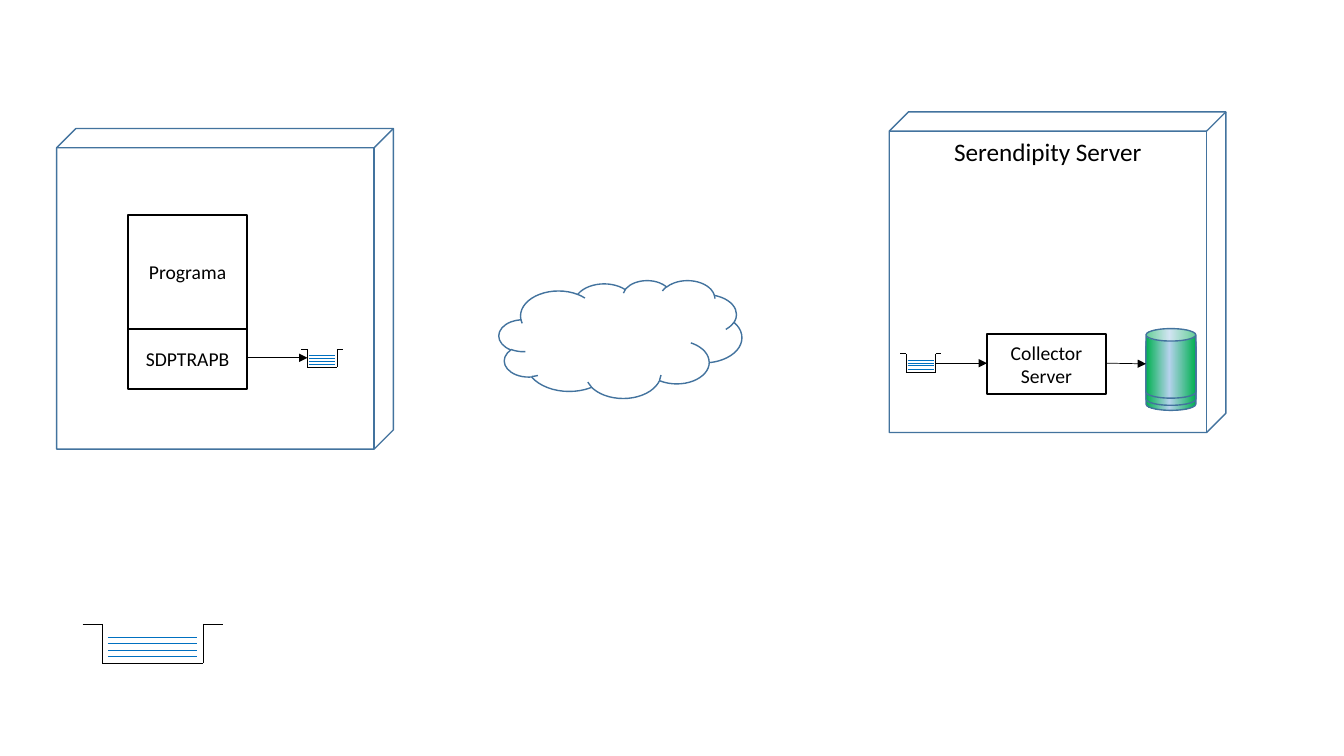
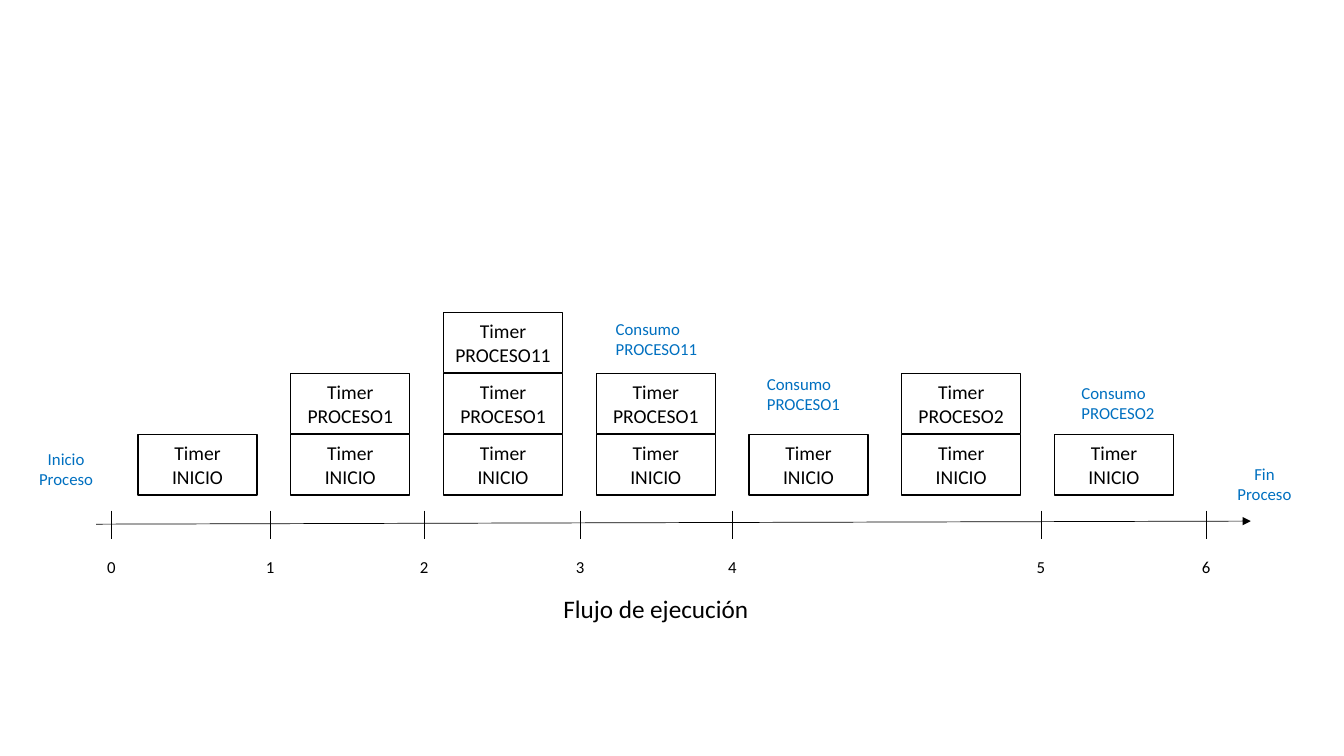
from copy import deepcopy
from pptx import Presentation
from pptx.dml.color import RGBColor
from pptx.enum.shapes import MSO_CONNECTOR as Link, MSO_SHAPE as Preset
from pptx.enum.text import MSO_ANCHOR as Anchor, MSO_AUTO_SIZE as AutoSize, PP_ALIGN as Align
from pptx.oxml.ns import qn
from pptx.oxml.xmlchemy import OxmlElement
from pptx.util import Pt

FONT = "Calibri"
BLACK = RGBColor(0x00, 0x00, 0x00)
WHITE = RGBColor(0xFF, 0xFF, 0xFF)
BLUE = RGBColor(0x00, 0x70, 0xC0)
OUTLINE = RGBColor(0x43, 0x73, 0x9E)
GREEN = RGBColor(0x00, 0xB0, 0x50)
PALE = RGBColor(0xB5, 0xD2, 0xEC)

BOX_WIDTH, BOX_HEIGHT = 85, 43
MACHINE_WIDTH, MACHINE_HEIGHT = 240.5, 229

PROGRAM_BOXES = [
    ("Programa", 91.5, 153.5, 81.5),
    ("SDPTRAPB", 91.5, 235, BOX_HEIGHT),
    ("Collector Server", 705, 238.5, BOX_HEIGHT),
]
QUEUES = [(59, 445.7, 100, 28), (215.3, 249.4, 29.5, 13), (643, 252.7, 29.5, 13)]
CAN_TOPS = [243.4, 239.8, 234.7]
ARROWS = [
    (176.5, 255.6, 219.6, 255.6),
    (668.2, 259.4, 705, 259.4),
    (790, 259.4, 818.6, 259.9),
]

STACKS = [
    ["INICIO"],
    ["INICIO", "PROCESO1"],
    ["INICIO", "PROCESO1", "PROCESO11"],
    ["INICIO", "PROCESO1"],
    ["INICIO"],
    ["INICIO", "PROCESO2"],
    ["INICIO"],
]
STACK_LEFT, STACK_STEP = 98.6, 109.1
STACK_TOP, LEVEL_STEP = 310.5, 43.7
TICKS = [79.9, 193.2, 303.3, 414.7, 523.4, 743.8, 861.8]
NOTES = [
    ("Consumo\nPROCESO11", 432.7, 223.9, 73.4, Align.LEFT),
    ("Consumo\nPROCESO1", 540.7, 263.5, 67.7, Align.LEFT),
    ("Consumo\nPROCESO2", 765.4, 270, 67.7, Align.LEFT),
    ("Fin\nProceso", 876.2, 327.6, 54, Align.CENTER),
    ("Inicio\nProceso", 20.2, 316.8, 54, Align.CENTER),
]


def write(frame, text, size, color, align):
    frame.text = text
    for para in frame.paragraphs:
        para.alignment = align
        for span in para.runs:
            span.font.name = FONT
            span.font.size = Pt(size)
            span.font.color.rgb = color


def add_outline(page, preset, left, top, width, height, color=OUTLINE):
    shape = page.shapes.add_shape(preset, Pt(left), Pt(top), Pt(width), Pt(height))
    shape.shadow.inherit = False
    shape.fill.background()
    shape.line.color.rgb = color
    shape.line.width = Pt(1)
    return shape


def add_box(page, text, left, top, height=BOX_HEIGHT):
    box = add_outline(page, Preset.RECTANGLE, left, top, BOX_WIDTH, height, BLACK)
    box.fill.solid()
    box.fill.fore_color.rgb = WHITE
    box.text_frame.vertical_anchor = Anchor.MIDDLE
    write(box.text_frame, text, 14, BLACK, Align.CENTER)


def add_label(page, text, left, top, width, height, size, color, align=Align.LEFT):
    label = page.shapes.add_textbox(Pt(left), Pt(top), Pt(width), Pt(height))
    label.text_frame.word_wrap = False
    label.text_frame.auto_size = AutoSize.SHAPE_TO_FIT_TEXT
    write(label.text_frame, text, size, color, align)


def add_line(page, x1, y1, x2, y2, color=BLACK, arrow=False):
    line = page.shapes.add_connector(Link.STRAIGHT, Pt(x1), Pt(y1), Pt(x2), Pt(y2))
    line.line.color.rgb = color
    line.line.width = Pt(0.5)
    if arrow:
        head = OxmlElement("a:tailEnd")
        head.set("type", "triangle")
        line.line._get_or_add_ln().append(head)
    line._element.spPr.append(OxmlElement("a:effectLst"))


def add_queue(page, left, top, width, height):
    right, bottom = left + width, top + height
    wall_left, wall_right = left + 0.14 * width, right - 0.14 * width
    add_line(page, left, top, wall_left, top)
    add_line(page, wall_right, top, right, top)
    add_line(page, wall_left, top, wall_left, bottom)
    add_line(page, wall_right, top, wall_right, bottom)
    add_line(page, wall_left, bottom, wall_right, bottom)
    inset = 0.04 * width
    for level in range(4):
        y = bottom - (0.17 + 0.165 * level) * height
        add_line(page, wall_left + inset, y, wall_right - inset, y, BLUE)


def add_can(page, top):
    can = add_outline(page, Preset.CAN, 818.6, top, 35.6, 49.7)
    can.fill.gradient()
    can.fill.gradient_angle = 180
    stop_list = can._element.spPr.find(".//" + qn("a:gsLst"))
    stop_list.append(deepcopy(stop_list[0]))
    stops = zip(can.fill.gradient_stops, [(0, GREEN), (0.53, PALE), (1, GREEN)])
    for stop, (position, color) in stops:
        stop.position = position
        stop.color.rgb = color


def add_machine(page, left, top):
    machine = add_outline(page, Preset.CUBE, left, top, MACHINE_WIDTH, MACHINE_HEIGHT)
    machine.adjustments[0] = 0.06
    machine.text_frame.vertical_anchor = Anchor.TOP
    return machine


def build_architecture(page):
    add_machine(page, 40.5, 91.8)
    for queue in QUEUES:
        add_queue(page, *queue)
    add_outline(page, Preset.CLOUD, 356.4, 200.2, 173.5, 84.2)
    for top in CAN_TOPS:
        add_can(page, top)
    for text, left, top, height in PROGRAM_BOXES:
        add_box(page, text, left, top, height)
    for arrow in ARROWS:
        add_line(page, *arrow, arrow=True)
    server = add_machine(page, 635.2, 79.9)
    write(server.text_frame, "Serendipity Server", 18, BLACK, Align.CENTER)


def build_timeline(page):
    for column, stack in enumerate(STACKS):
        for level, name in enumerate(stack):
            left = STACK_LEFT + column * STACK_STEP
            add_box(page, f"Timer\n{name}", left, STACK_TOP - level * LEVEL_STEP)
    add_line(page, 68.7, 374.4, 893.5, 372.2, arrow=True)
    add_label(page, "Flujo de ejecución", 395.3, 420.5, 148.3, 29, 18, BLACK)
    for number, x in enumerate(TICKS):
        add_line(page, x, 364.7, x, 385.2)
        add_label(page, str(number), x - 10.4, 394, 20.8, 21.8, 12, BLACK)
    for text, left, top, width, align in NOTES:
        add_label(page, text, left, top, width, 36.3, 12, BLUE, align)


def main():
    deck = Presentation()
    deck.slide_width, deck.slide_height = Pt(960), Pt(540)
    for build in (build_architecture, build_timeline):
        build(deck.slides.add_slide(deck.slide_layouts[6]))
    deck.save("out.pptx")


if __name__ == "__main__":
    main()
